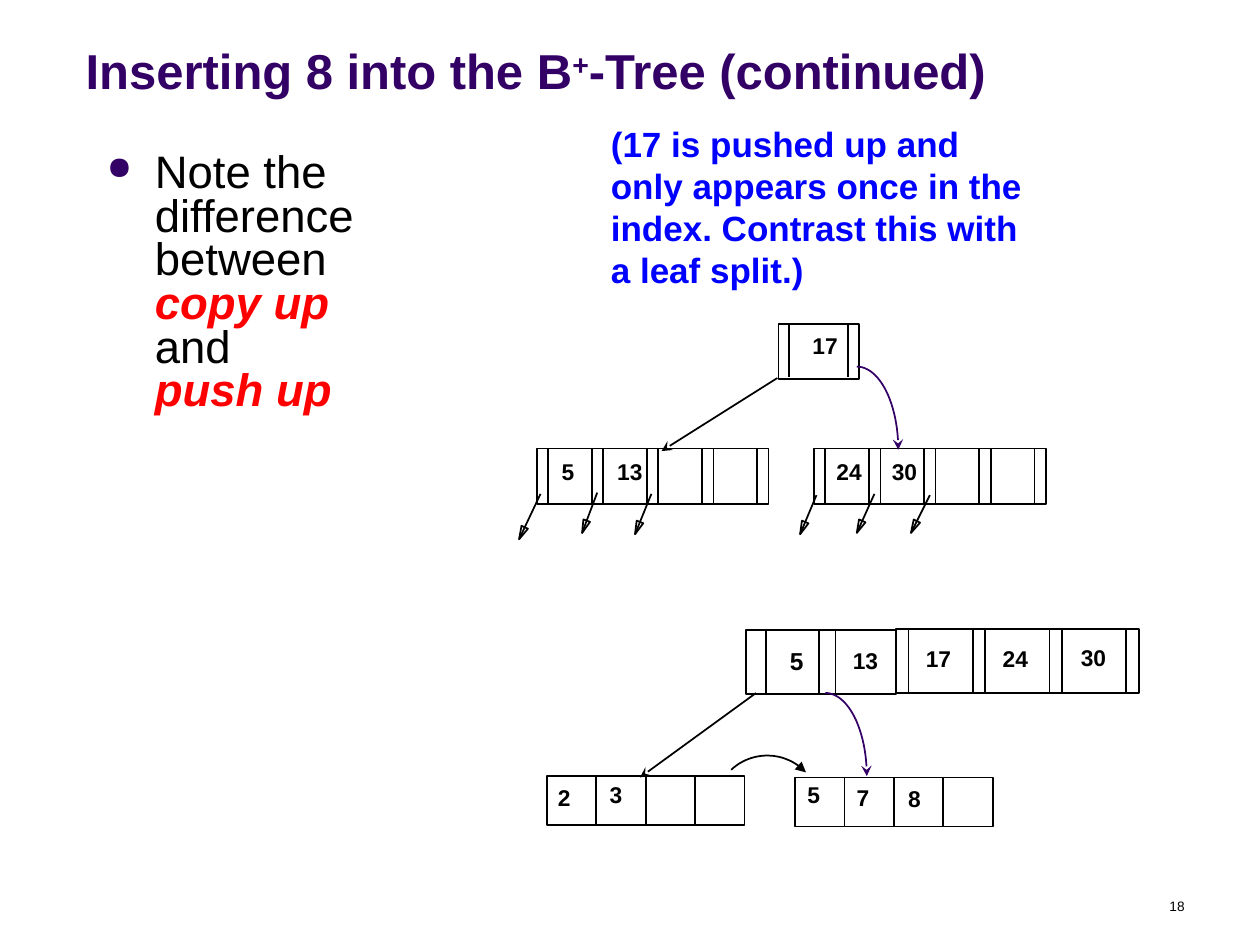
import math

from pptx import Presentation
from pptx import util as u
from pptx.dml.color import RGBColor
from pptx.enum import shapes, text
from pptx.oxml import ns
from lxml import etree

SCALE = 9144
FONT = "Arial"
COLORS = {"ink": "000000", "purple": "330066", "blue": "0000FF", "red": "FF0000"}


def px(value):
    return u.Emu(round(value * SCALE))


def color(name):
    return RGBColor.from_string(COLORS[name])


def format_run(run, size, color_name, bold=False, italic=False):
    run.font.name = FONT
    run.font.size = u.Pt(size)
    run.font.bold = bold
    run.font.italic = italic
    run.font.color.rgb = color(color_name)


def set_outline(shape, color_name="ink", arrow=None):
    shape.line.color.rgb = color(color_name)
    shape.line.width = u.Pt(1)
    if arrow:
        line = shape.element.spPr.find(ns.qn("a:ln"))
        etree.SubElement(line, ns.qn("a:tailEnd"), type=arrow)


def add_text(slide, box, content, size, color_name="ink", bold=False, wrap=True):
    shape = slide.shapes.add_textbox(*map(px, box))
    frame = shape.text_frame
    frame.word_wrap = wrap
    frame.text = content
    if not wrap:
        frame.auto_size = text.MSO_AUTO_SIZE.SHAPE_TO_FIT_TEXT
    for run in frame.paragraphs[0].runs:
        format_run(run, size, color_name, bold)
    return shape


def add_key(slide, left, top, key, size=13):
    width = 20 + 10 * len(key)
    add_text(slide, (left, top, width, 32), key, size, bold=True, wrap=False)


def add_line(slide, start, end, arrow=None):
    line = slide.shapes.add_connector(
        shapes.MSO_CONNECTOR.STRAIGHT, *map(px, (*start, *end)))
    set_outline(line, arrow=arrow)
    etree.SubElement(line.element.spPr, ns.qn("a:effectLst"))


def add_cell(slide, box):
    cell = slide.shapes.add_shape(shapes.MSO_SHAPE.RECTANGLE, *map(px, box))
    cell.shadow.inherit = False
    cell.fill.background()
    set_outline(cell)


def add_outline(slide, points, close, color_name="ink", arrow=None):
    corners = [(px(x), px(y)) for x, y in points]
    builder = slide.shapes.build_freeform(*corners[0], scale=1.0)
    builder.add_line_segments(corners[1:], close=close)
    shape = builder.convert_to_shape()
    shape.shadow.inherit = False
    shape.fill.background()
    set_outline(shape, color_name, arrow)
    return shape


def add_quarter_arc(slide, box, color_name, arrow, rotation=0):
    left, top, width, height = box
    steps = 24
    angles = [math.pi / 2 * step / steps for step in range(steps + 1)]
    points = [(left + width * math.sin(angle), top + height * (1 - math.cos(angle)))
              for angle in angles]
    add_outline(slide, points, False, color_name, arrow).rotation = rotation


def add_child_pointer(slide, start, tip):
    add_line(slide, start, tip)
    length = math.dist(start, tip)
    along_x, along_y = ((a - b) / length for a, b in zip(start, tip))
    base_x, base_y = tip[0] + 10.5 * along_x, tip[1] + 10.5 * along_y
    side_x, side_y = -2.8 * along_y, 2.8 * along_x
    add_outline(slide, [tip, (base_x + side_x, base_y + side_y),
                        (base_x - side_x, base_y - side_y)], True)


def add_index_node(slide, box, count, pointer):
    left, top, width, height = box
    pitch = (width - pointer) / count
    for index in range(count):
        start = left + index * pitch
        add_cell(slide, (start, top, pitch, height))
        add_line(slide, (start + pointer, top), (start + pointer, top + height))
    add_cell(slide, (left + width - pointer, top, pointer, height))


def add_leaf(slide, box, keys):
    left, top, width, height = box
    pitch = width / 4
    for index in range(4):
        add_cell(slide, (left + index * pitch, top, pitch, height))
    for offset_x, offset_y, key in keys:
        add_key(slide, left + offset_x, top + offset_y, key)


def add_title(slide, box):
    title = slide.shapes.title
    title.left, title.top, title.width, title.height = map(px, box)
    frame = title.text_frame
    frame.auto_size = text.MSO_AUTO_SIZE.NONE
    frame.vertical_anchor = text.MSO_ANCHOR.BOTTOM
    paragraph = frame.paragraphs[0]
    paragraph.alignment = text.PP_ALIGN.LEFT
    for content in ("Inserting 8 into the B", "+", "-Tree (continued)"):
        run = paragraph.add_run()
        run.text = content
        format_run(run, 28, "purple", bold=True)
    paragraph.runs[1].font._element.set("baseline", "30000")


def add_note(slide, box):
    shape = add_text(
        slide, box, "Note the difference between copy up \vand \vpush up", 26)
    paragraph = shape.text_frame.paragraphs[0]
    paragraph.text = "Note the difference between "
    format_run(paragraph.runs[0], 26, "ink")
    for content, emphasis, broken in (
            ("copy up ", True, True), ("and ", False, True), ("push up", True, False)):
        run = paragraph.add_run()
        run.text = content
        format_run(run, 26, "red" if emphasis else "ink", emphasis, emphasis)
        if broken:
            paragraph.add_line_break()
    paragraph.line_spacing = 0.8
    paragraph.space_before = u.Pt(6.5)
    properties = paragraph._p.get_or_add_pPr()
    properties.set("marL", str(px(38)))
    properties.set("indent", str(px(-38)))
    bullet_color = etree.SubElement(properties, ns.qn("a:buClr"))
    etree.SubElement(bullet_color, ns.qn("a:srgbClr"), val=COLORS["purple"])
    etree.SubElement(properties, ns.qn("a:buSzPct"), val="70000")
    etree.SubElement(properties, ns.qn("a:buChar"), char="●")


def add_split_index(slide, left, top):
    add_cell(slide, (left + 206, top, 64, 44))
    for x in (214, 261):
        add_line(slide, (left + x, top), (left + x, top + 42))
    add_key(slide, left + 223, top + 1, "17")
    for node_left, keys in ((14, ((10, "5"), (54, "13"))),
                            (234, ((8, "24"), (52, "30")))):
        add_index_node(slide, (left + node_left, top + 99, 184, 44), 4, 9)
        for offset, key in keys:
            add_key(slide, left + node_left + offset, top + 101, key)
    for start_x, start_y, tip_x, tip_y in (
            (17, 135, 0, 171), (62, 134, 50, 166), (105, 135, 92, 167),
            (236, 136, 223, 167), (282, 135, 268, 166), (326, 136, 311, 166)):
        add_child_pointer(slide, (left + start_x, top + start_y),
                          (left + tip_x, top + tip_y))
    add_line(slide, (left + 205, top + 43), (left + 113, top + 101), "stealth")
    add_quarter_arc(slide, (left + 268, top + 34, 33, 66), "purple", "stealth")


def add_split_leaves(slide, left, top):
    for x, width, pointer in ((159, 58, 16), (217, 61, 13)):
        add_cell(slide, (left + x, top + 1, width, 51))
        add_line(slide, (left + x + pointer, top + 1), (left + x + pointer, top + 52))
    add_index_node(slide, (left + 278, top, 193, 51), 3, 10)
    add_key(slide, left + 184, top + 9, "5", 14)
    for x, y, key in ((234, 9, "13"), (292, 8, "17"), (353, 8, "24"), (415, 7, "30")):
        add_key(slide, left + x, top + y, key)
    add_leaf(slide, (left + 1, top + 117, 157, 39), ((-1, 1, "2"), (40, -1, "3")))
    add_leaf(slide, (left + 198, top + 118, 157, 39),
             ((0, -2, "5"), (39, 0, "7"), (80, 1, "8")))
    add_line(slide, (left + 167, top + 51), (left + 75, top + 118), "stealth")
    add_quarter_arc(slide, (left + 222, top + 51, 33, 66), "purple", "stealth")
    add_quarter_arc(slide, (left + 156, top + 92, 42, 42), "ink", "triangle", 317)


def main():
    presentation = Presentation()
    presentation.slide_width, presentation.slide_height = px(1000), px(750)
    slide = presentation.slides.add_slide(presentation.slide_layouts[5])
    add_title(slide, (58, 17, 808, 67))
    add_note(slide, (75, 117, 275, 242))
    add_text(slide, (475, 92, 347, 144),
             "(17 is pushed up and only appears once in the index. "
             "Contrast this with a leaf split.)", 20, "blue", bold=True)
    add_split_index(slide, 412, 257)
    add_split_leaves(slide, 433, 499)
    number = add_text(slide, (717, 708, 233, 25), "18", 7.8)
    number.text_frame.paragraphs[0].alignment = text.PP_ALIGN.RIGHT
    presentation.save("out.pptx")


if __name__ == "__main__":
    main()
